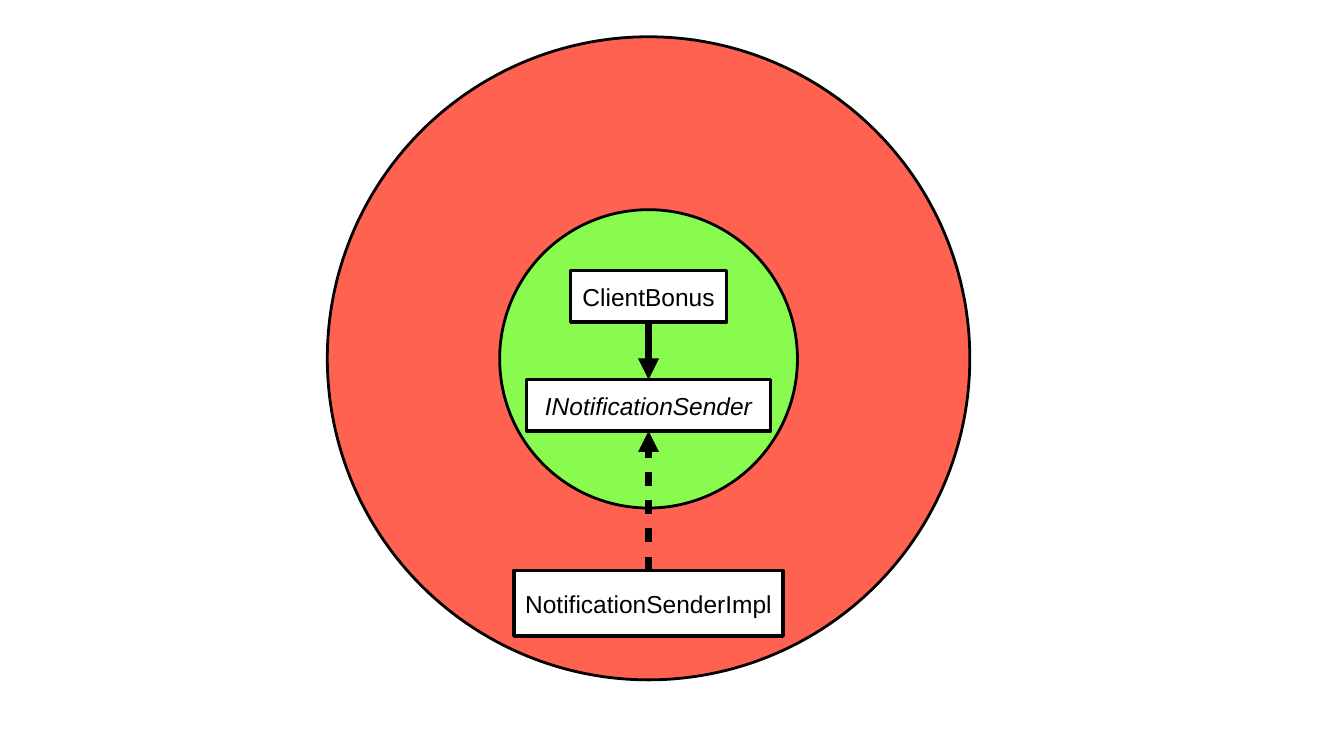
from lxml import etree
from pptx import Presentation
from pptx.dml.color import RGBColor
from pptx.enum.shapes import MSO_CONNECTOR, MSO_SHAPE
from pptx.enum.text import MSO_ANCHOR, PP_ALIGN
from pptx.oxml.ns import qn
from pptx.util import Inches, Pt

OVAL, RECTANGLE = MSO_SHAPE.OVAL, MSO_SHAPE.RECTANGLE
STRAIGHT = MSO_CONNECTOR.STRAIGHT
MIDDLE, CENTER = MSO_ANCHOR.MIDDLE, PP_ALIGN.CENTER
TOP_SIDE, BOTTOM_SIDE = 0, 2
COLORS = {"outer": "FF6250", "core": "89FA4E", "box": "FFFFFF", "ink": "000000"}
CENTER_X = 12.87

prs = Presentation()
prs.slide_width, prs.slide_height = Inches(26.67), Inches(15)
slide = prs.slides.add_slide(prs.slide_layouts[6])


def add_centered(kind, top, width, height, color, line_width):
    """Add an outlined shape centred on the diagram's vertical axis."""
    shape = slide.shapes.add_shape(
        kind, Inches(CENTER_X - width / 2), Inches(top), Inches(width), Inches(height))
    shape.shadow.inherit = False
    shape.fill.solid()
    shape.fill.fore_color.rgb = RGBColor.from_string(COLORS[color])
    shape.line.color.rgb = RGBColor.from_string(COLORS["ink"])
    shape.line.width = Pt(line_width)
    return shape


# Architecture rings
add_centered(OVAL, 0.73, 12.75, 12.76, "outer", 4)
add_centered(OVAL, 4.16, 5.91, 5.92, "core", 4)

# Classes: name, top, width, height, italic for the interface
classes = [
    ("INotificationSender", 7.53, 4.84, 1.02, True),
    ("NotificationSenderImpl", 11.32, 5.34, 1.3, False),
    ("ClientBonus", 5.37, 3.09, 1.02, False),
]
class_boxes = {}
for name, top, width, height, italic in classes:
    box = add_centered(RECTANGLE, top, width, height, "box", 5)
    frame = box.text_frame
    frame.margin_left = frame.margin_right = frame.margin_top = frame.margin_bottom = 0
    frame.vertical_anchor = MIDDLE
    frame.word_wrap = False
    label = frame.paragraphs[0]
    label.text = name
    label.alignment = CENTER
    label.font.name = "Arial"
    label.font.size = Pt(35)
    label.font.italic = italic
    label.font.color.rgb = RGBColor.from_string(COLORS["ink"])
    class_boxes[name] = box

# Dependencies on the interface: source, its side, interface side, dashed
dependencies = [
    ("NotificationSenderImpl", TOP_SIDE, BOTTOM_SIDE, True),
    ("ClientBonus", BOTTOM_SIDE, TOP_SIDE, False),
]
for source, source_side, interface_side, dashed in dependencies:
    arrow = slide.shapes.add_connector(STRAIGHT, 0, 0, 0, 0)
    arrow.begin_connect(class_boxes[source], source_side)
    arrow.end_connect(class_boxes["INotificationSender"], interface_side)
    arrow.line.color.rgb = RGBColor.from_string(COLORS["ink"])
    arrow.line.width = Pt(10)
    properties = arrow.element.spPr
    outline = properties.find(qn("a:ln"))
    if dashed:
        dashes = etree.SubElement(outline, qn("a:custDash"))
        etree.SubElement(dashes, qn("a:ds"), d="200000", sp="200000")
    etree.SubElement(outline, qn("a:tailEnd"), type="triangle")
    etree.SubElement(properties, qn("a:effectLst"))

prs.save("out.pptx")
